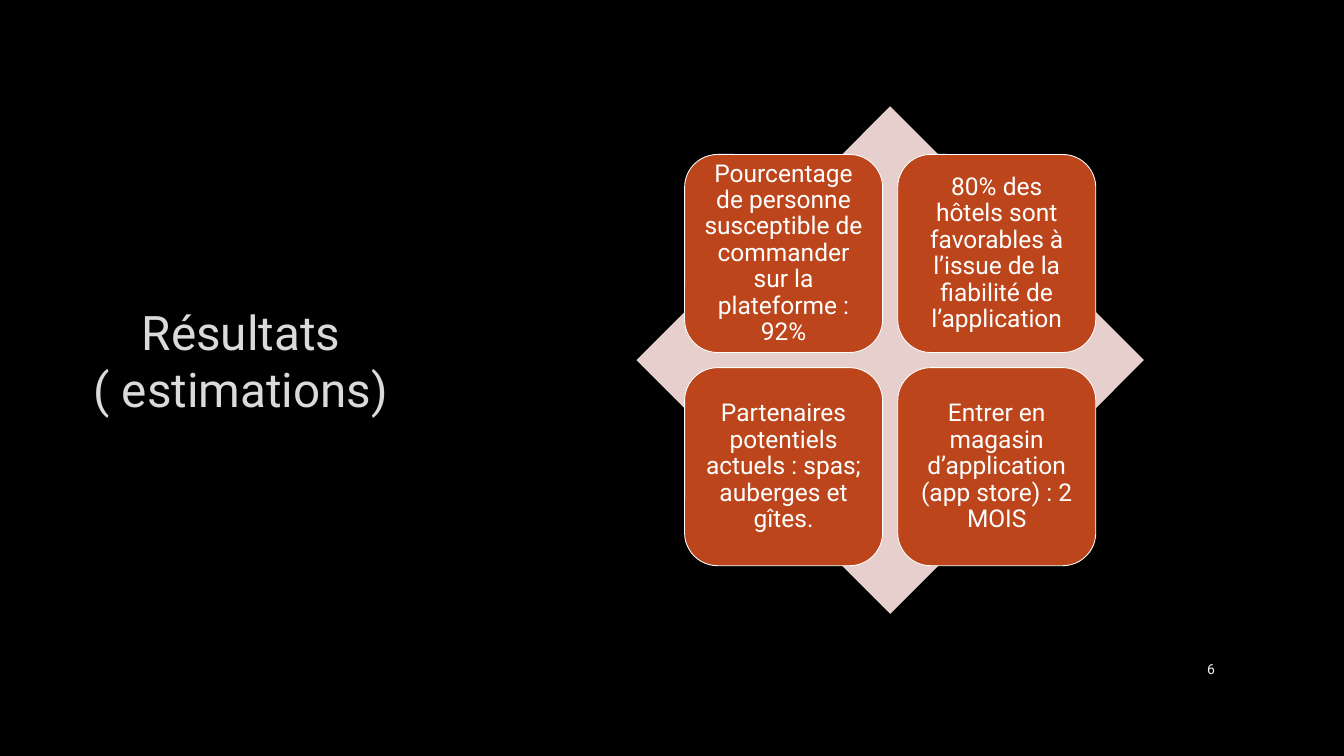
from pptx import Presentation
from pptx.dml.color import RGBColor
from pptx.enum.shapes import MSO_SHAPE
from pptx.enum.text import MSO_ANCHOR, MSO_AUTO_SIZE, PP_ALIGN
from pptx.util import Inches, Pt

DIAMOND, ROUNDED = MSO_SHAPE.DIAMOND, MSO_SHAPE.ROUNDED_RECTANGLE
CENTER, RIGHT = PP_ALIGN.CENTER, PP_ALIGN.RIGHT
MIDDLE, NO_FIT = MSO_ANCHOR.MIDDLE, MSO_AUTO_SIZE.NONE
TITLE_ONLY = 5

TITLE = "Résultats ( estimations)"
RESULTS = [
    "Pourcentage de personne susceptible de commander sur la plateforme : 92%",
    "80% des hôtels sont favorables à l’issue de la fiabilité de l’application",
    "Partenaires potentiels actuels : spas; auberges et gîtes.",
    "Entrer en magasin d’application (app store) : 2 MOIS",
]
PAGE_NUMBER = "6"
FONT = "Roboto"
DIAMOND_LEFT, DIAMOND_TOP, DIAMOND_SIZE = 12.63, 2.11, 10.07
CARD_SIZE, CARD_STEP, CARD_MARGIN = 3.93, 4.23, 0.15
COLUMNS = 2


def color(code):
    """Turn a hex string into a colour."""
    return RGBColor.from_string(code)


def write(shape, text, size, code, align, margin=None, spacing=None):
    """Put one formatted paragraph in a shape."""
    frame = shape.text_frame
    frame.word_wrap = True
    frame.auto_size = NO_FIT
    frame.vertical_anchor = MIDDLE
    if margin is not None:
        frame.margin_left = frame.margin_right = Inches(margin)
        frame.margin_top = frame.margin_bottom = Inches(margin)
    para = frame.paragraphs[0]
    para.alignment = align
    if spacing is not None:
        para.line_spacing = spacing
    span = para.add_run()
    span.text = text
    span.font.name = FONT
    span.font.size = Pt(size)
    span.font.color.rgb = color(code)


def add_shape(page, kind, left, top, size, fill, line=None):
    """Add a square preset shape without a shadow."""
    shape = page.shapes.add_shape(
        kind, Inches(left), Inches(top), Inches(size), Inches(size))
    shape.shadow.inherit = False
    shape.fill.solid()
    shape.fill.fore_color.rgb = color(fill)
    if line:
        shape.line.color.rgb = color(line)
        shape.line.width = Pt(1.25)
    else:
        shape.line.fill.background()
    return shape


def add_matrix(page):
    """Add the diamond and the grid of cards centred on it."""
    add_shape(page, DIAMOND, DIAMOND_LEFT, DIAMOND_TOP, DIAMOND_SIZE, "E7CFCD")
    inset = (DIAMOND_SIZE - CARD_STEP - CARD_SIZE) / 2
    for index, result in enumerate(RESULTS):
        row, column = divmod(index, COLUMNS)
        card = add_shape(
            page, ROUNDED,
            DIAMOND_LEFT + inset + column * CARD_STEP,
            DIAMOND_TOP + inset + row * CARD_STEP,
            CARD_SIZE, "BC451B", "FFFFFF")
        write(card, result, 35, "FFFFFF", CENTER, CARD_MARGIN, 0.9)


def main():
    """Build and save the slide."""
    deck = Presentation()
    deck.slide_width, deck.slide_height = Inches(26.67), Inches(15)
    page = deck.slides.add_slide(deck.slide_layouts[TITLE_ONLY])
    page.background.fill.solid()
    page.background.fill.fore_color.rgb = color("000000")

    title = page.shapes.title
    title.left, title.top = Inches(1.47), Inches(3.13)
    title.width, title.height = Inches(6.63), Inches(8.04)
    write(title, TITLE, 68, "DADADA", CENTER)

    add_matrix(page)

    number = page.shapes.add_textbox(
        Inches(23), Inches(12.87), Inches(1.21), Inches(0.8))
    write(number, PAGE_NUMBER, 20, "F2F2F2", RIGHT)
    deck.save("out.pptx")


if __name__ == "__main__":
    main()
